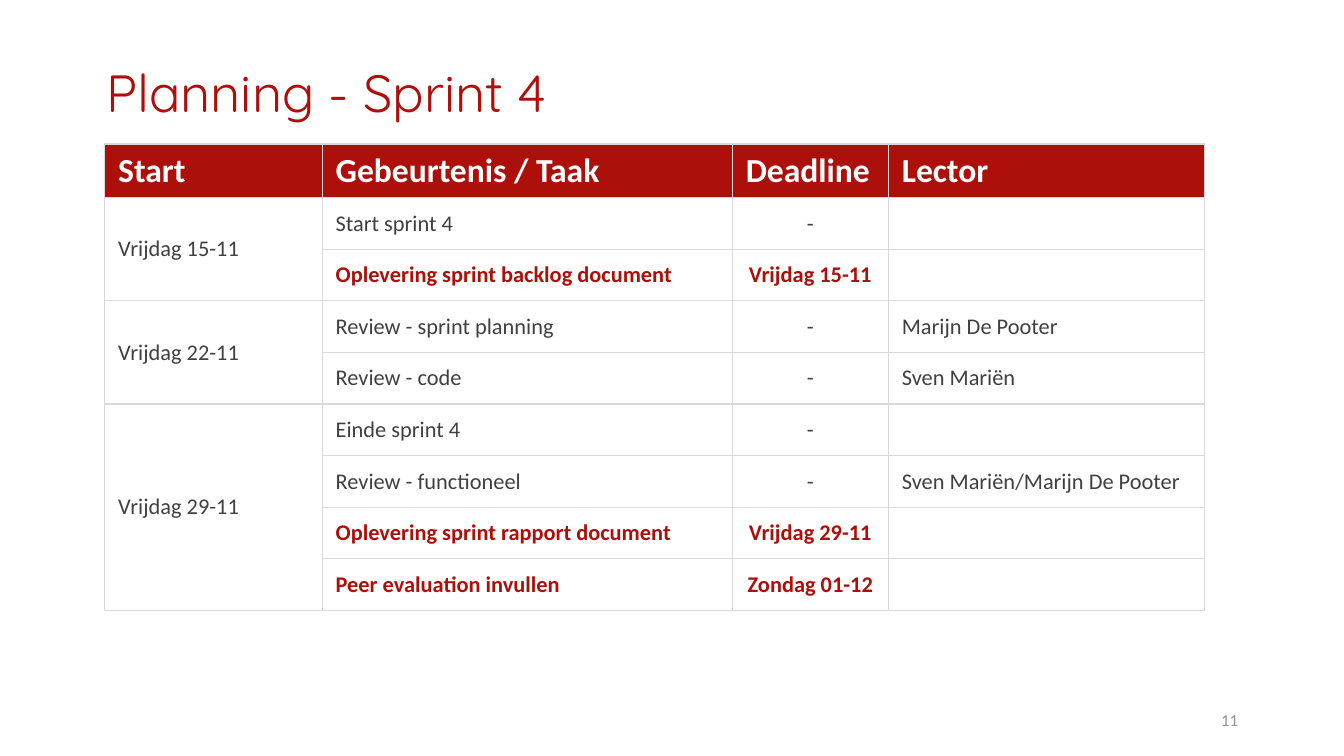
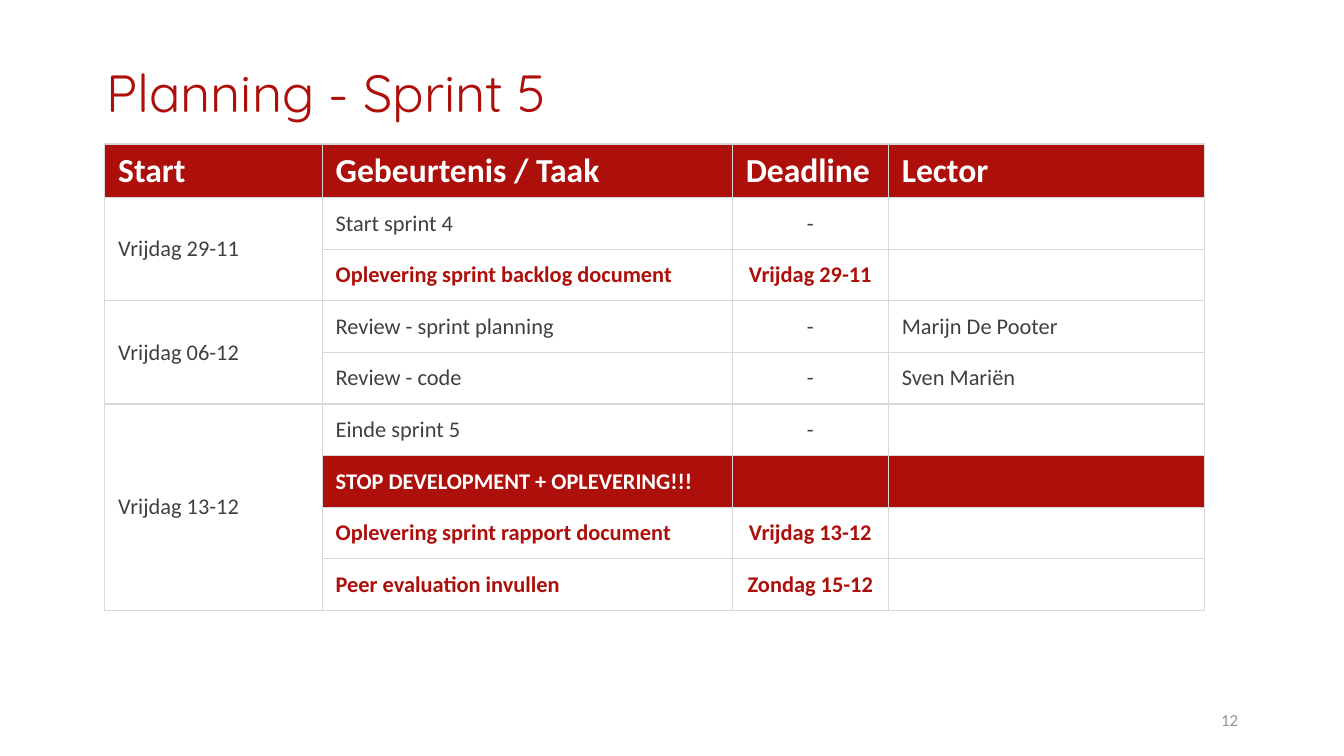
import pptx
import pptx.util
import pptx.dml.color
import pptx.enum.text
from lxml import etree
from pptx.util import Cm, Pt
from pptx.enum.text import MSO_ANCHOR, PP_ALIGN

COLORS = {"red": "AD0F0A", "white": "FFFFFF", "text": "404040",
          "border": "D9D9D9", "number": "939393"}
BODY_FONT, TITLE_FONT = "Calibri", "Quicksand"

TITLE_BOX = (Cm(1.75), Cm(1.14), Cm(21.9), Cm(1.24))
NUMBER_BOX = (Cm(21.39), Cm(13.23), Cm(2.26), Cm(0.76))
TABLE_BOX = (Cm(1.98), Cm(2.72), Cm(20.78), Cm(8.69))

HEADERS = ("Start", "Gebeurtenis / Taak", "Deadline", "Lector")
COL_WIDTHS = (4.11, 7.75, 2.95, 5.97)
HEADER_HEIGHT = Cm(0.89)
DEADLINE_COL = 2

# Text format and cell fill of each kind of row
ROW_STYLES = {
    "header": (dict(size=18, color="white", bold=True), "red"),
    "plain": (dict(size=12, color="text"), None),
    "deadline": (dict(size=12, color="red", bold=True), None),
    "stop": (dict(size=12, color="white", bold=True), "red"),
}


def rgb(name):
    return pptx.dml.color.RGBColor.from_string(COLORS[name])


def write(tf, text, size=12, color="text", bold=False, font=BODY_FONT,
          align=PP_ALIGN.LEFT, anchor=MSO_ANCHOR.MIDDLE, spacing=None):
    tf.vertical_anchor = anchor
    p = tf.paragraphs[0]
    p.alignment = align
    if spacing:
        p.line_spacing = spacing
    r = p.add_run()
    r.text = text
    r.font.name, r.font.size, r.font.bold = font, Pt(size), bold
    r.font.color.rgb = rgb(color)


def set_borders(cell, color="border", width=0.75):
    tcPr = cell._tc.get_or_add_tcPr()
    ns = pptx.oxml.ns.qn
    for side in ("a:lnL", "a:lnR", "a:lnT", "a:lnB"):
        ln = etree.SubElement(tcPr, ns(side), w=str(Pt(width)))
        fill = etree.SubElement(ln, ns("a:solidFill"))
        etree.SubElement(fill, ns("a:srgbClr"), val=COLORS[color])


def format_cell(cell, text, style, align=PP_ALIGN.LEFT):
    text_format, fill = ROW_STYLES[style]
    set_borders(cell)
    if fill:
        cell.fill.solid()
        cell.fill.fore_color.rgb = rgb(fill)
    else:
        cell.fill.background()
    anchor = MSO_ANCHOR.TOP if style == "header" else MSO_ANCHOR.MIDDLE
    cell.vertical_anchor = anchor
    if text:
        write(cell.text_frame, text, align=align, anchor=anchor, **text_format)
    else:
        # An empty cell keeps the row height of the body text
        end = cell.text_frame.paragraphs[0]._p.get_or_add_endParaRPr()
        end.set("sz", str(text_format["size"] * 100))


def add_title(slide, box, text):
    sp = slide.shapes.title
    sp.left, sp.top, sp.width, sp.height = box
    sp.text_frame.auto_size = pptx.enum.text.MSO_AUTO_SIZE.NONE
    write(sp.text_frame, text, size=28, color="red", font=TITLE_FONT,
          anchor=MSO_ANCHOR.TOP, spacing=0.9)


def add_number(slide, box, number):
    tf = slide.shapes.add_textbox(*box).text_frame
    tf.word_wrap = True
    write(tf, str(number), size=9, color="number", align=PP_ALIGN.RIGHT)


def add_planning_table(slide, box, blocks):
    """Draw blocks of (start day, tasks); a start day spans its tasks."""
    row_count = sum(len(tasks) for _, tasks in blocks)
    table = slide.shapes.add_table(row_count + 1, len(HEADERS), *box).table
    table.first_row = table.horz_banding = False
    for column, width in zip(table.columns, COL_WIDTHS):
        column.width = Cm(width)
    for row in table.rows:
        row.height = (box[3] - HEADER_HEIGHT) // row_count
    table.rows[0].height = HEADER_HEIGHT

    for col, text in enumerate(HEADERS):
        format_cell(table.cell(0, col), text, "header")
    row = 1
    for day, tasks in blocks:
        first = row
        for style, *texts in tasks:
            format_cell(table.cell(row, 0), day if row == first else "", "plain")
            for col, text in enumerate(texts, start=1):
                align = PP_ALIGN.CENTER if col == DEADLINE_COL else PP_ALIGN.LEFT
                format_cell(table.cell(row, col), text, style, align)
            row += 1
        table.cell(first, 0).merge(table.cell(row - 1, 0))


def sprint_blocks(sprint, start, middle, end, peer_deadline, final_task):
    return [
        (start, [("plain", "Start sprint 4", "-", ""),
                 ("deadline", "Oplevering sprint backlog document", start, "")]),
        (middle, [("plain", "Review - sprint planning", "-", "Marijn De Pooter"),
                  ("plain", "Review - code", "-", "Sven Mariën")]),
        (end, [("plain", f"Einde sprint {sprint}", "-", ""),
               final_task,
               ("deadline", "Oplevering sprint rapport document", end, ""),
               ("deadline", "Peer evaluation invullen", peer_deadline, "")]),
    ]


def add_sprint_slide(prs, number, sprint, *planning):
    slide = prs.slides.add_slide(prs.slide_layouts[5])
    add_title(slide, TITLE_BOX, f"Planning - Sprint {sprint}")
    add_number(slide, NUMBER_BOX, number)
    add_planning_table(slide, TABLE_BOX, sprint_blocks(sprint, *planning))


def main():
    prs = pptx.Presentation()
    prs.slide_width, prs.slide_height = Cm(25.4), Cm(14.29)
    add_sprint_slide(
        prs, 11, 4, "Vrijdag 15-11", "Vrijdag 22-11", "Vrijdag 29-11", "Zondag 01-12",
        ("plain", "Review - functioneel", "-", "Sven Mariën/Marijn De Pooter"))
    add_sprint_slide(
        prs, 12, 5, "Vrijdag 29-11", "Vrijdag 06-12", "Vrijdag 13-12", "Zondag 15-12",
        ("stop", "STOP DEVELOPMENT + OPLEVERING!!!", "", ""))
    prs.save("out.pptx")


if __name__ == "__main__":
    main()
